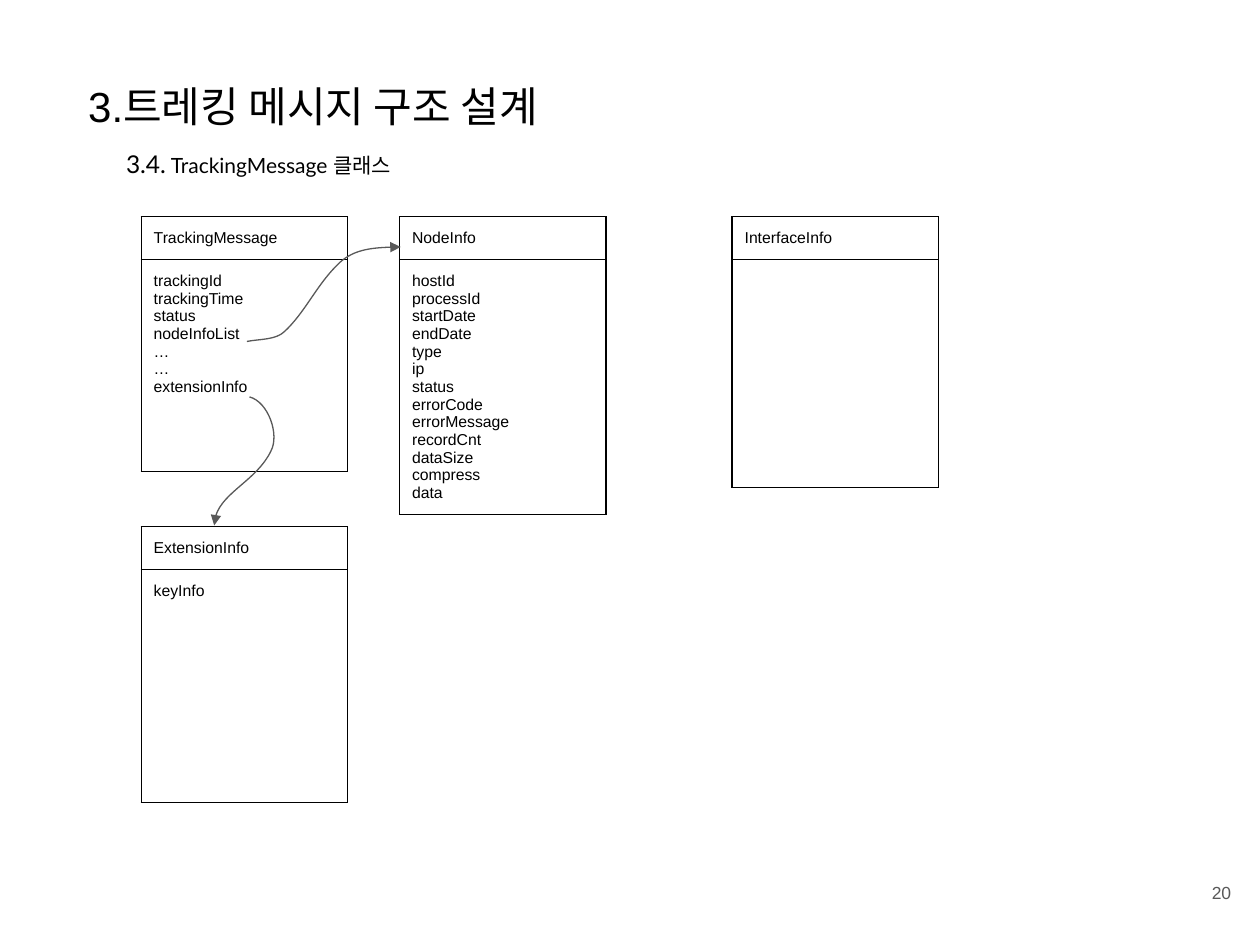
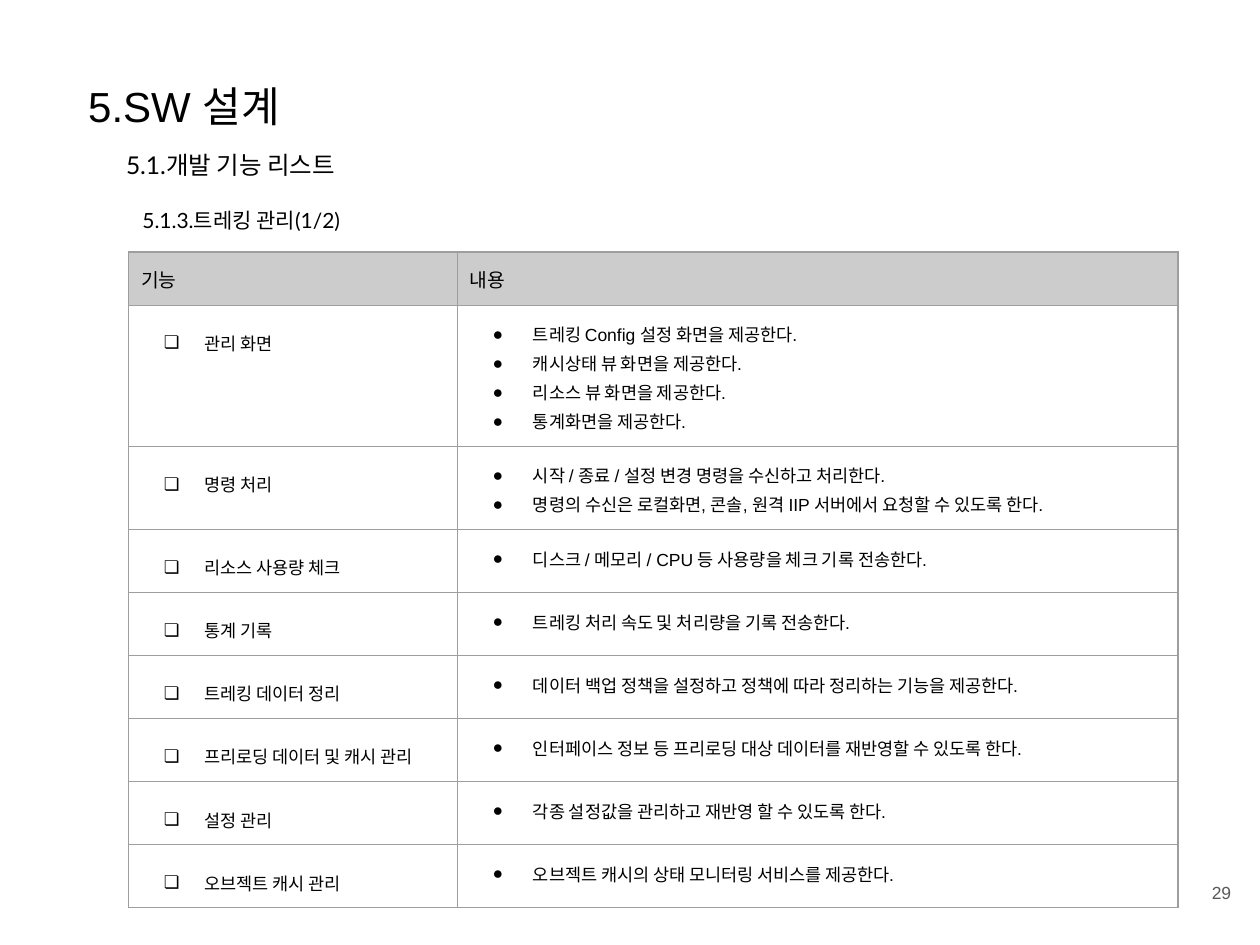
from lxml import etree
from pptx import Presentation
from pptx import util as u
from pptx.dml import color
from pptx.enum import text
from pptx.oxml import ns

BLACK, GRAY, GRID, HEADER = "000000", "595959", "9E9E9E", "CCCCCC"
ARIAL, LATO = "Arial", "Lato"

CLASS_WIDTH, CLASS_HEADER = 1.64, 0.34
CLASSES = [
    ("TrackingMessage", 1.12, 1.72, 1.68,
     ["trackingId", "trackingTime", "status", "nodeInfoList", "…", "…", "extensionInfo"]),
    ("NodeInfo", 3.17, 1.72, 2.02,
     ["hostId", "processId", "startDate", "endDate", "type", "ip", "status", "errorCode",
      "errorMessage", "recordCnt", "dataSize", "compress", "data"]),
    ("ExtensionInfo", 1.12, 4.18, 1.85, ["keyInfo"]),
    ("InterfaceInfo", 5.81, 1.72, 1.81, []),
]
NODE_LIST_ARROW = [(1.96, 2.71), (2.06, 2.69), (2.19, 2.7), (2.26, 2.63), (2.42, 2.48),
                   (2.51, 2.27), (2.67, 2.11), (2.79, 1.98), (3, 1.96), (3.18, 1.96)]
EXTENSION_ARROW = [(1.98, 3.15), (2.13, 3.19), (2.22, 3.45), (2.15, 3.58),
                   (2.04, 3.81), (1.7, 3.93), (1.7, 4.17)]
FEATURES = [
    ("관리 화면", ["트레킹 Config 설정 화면을 제공한다.", "캐시상태 뷰 화면을 제공한다.",
               "리소스 뷰 화면을 제공한다.", "통계화면을 제공한다."]),
    ("명령 처리", ["시작 / 종료 / 설정 변경 명령을 수신하고 처리한다.",
               "명령의 수신은 로컬화면, 콘솔, 원격 IIP 서버에서 요청할 수 있도록 한다."]),
    ("리소스 사용량 체크", ["디스크 / 메모리 / CPU 등 사용량을 체크 기록 전송한다."]),
    ("통계 기록", ["트레킹 처리 속도 및 처리량을 기록 전송한다."]),
    ("트레킹 데이터 정리", ["데이터 백업 정책을 설정하고 정책에 따라 정리하는 기능을 제공한다."]),
    ("프리로딩 데이터 및 캐시 관리", ["인터페이스 정보 등 프리로딩 대상 데이터를 재반영할 수 있도록 한다."]),
    ("설정 관리", ["각종 설정값을 관리하고 재반영 할 수 있도록 한다."]),
    ("오브젝트 캐시 관리", ["오브젝트 캐시의 상태 모니터링 서비스를 제공한다."]),
]


def rgb(value):
    return color.RGBColor.from_string(value)


def child(parent, tag, **attributes):
    return etree.SubElement(parent, ns.qn(tag), attributes)


def add_run(p, words, size, font=ARIAL, hue=BLACK):
    r = p.add_run()
    r.text = words
    r.font.size = u.Pt(size)
    r.font.name = font
    r.font.color.rgb = rgb(hue)


def setup_frame(tf, anchor=text.MSO_ANCHOR.TOP):
    tf.margin_left = tf.margin_right = tf.margin_top = tf.margin_bottom = u.Inches(0.1)
    tf.word_wrap = True
    tf.auto_size = text.MSO_AUTO_SIZE.NONE
    tf.vertical_anchor = anchor


def place(sp, left, top, width, height):
    sp.left, sp.top = u.Inches(left), u.Inches(top)
    sp.width, sp.height = u.Inches(width), u.Inches(height)


def add_title(s, words):
    sp = s.shapes.title
    place(sp, 0.6, 0.54, 8.52, 0.54)
    setup_frame(sp.text_frame)
    p = sp.text_frame.paragraphs[0]
    p.alignment = text.PP_ALIGN.LEFT
    add_run(p, words, 24)


def add_subtitles(s, top, height, lines):
    sp = s.placeholders[1]
    place(sp, 0.9, top, 5.6, height)
    tf = sp.text_frame
    setup_frame(tf)
    for i, (indent, runs) in enumerate(lines):
        p = tf.add_paragraph() if i else tf.paragraphs[0]
        pPr = p._p.get_or_add_pPr()
        pPr.set("marL", str(u.Inches(indent)))
        pPr.set("indent", "0")
        child(pPr, "a:buNone")
        p.space_before = u.Pt(16 if i else 0)
        for words, size in runs:
            add_run(p, words, size, LATO)


def add_page_number(s, number):
    sp = s.shapes.add_textbox(*map(u.Inches, (9.27, 6.8, 0.6, 0.57)))
    setup_frame(sp.text_frame, text.MSO_ANCHOR.MIDDLE)
    p = sp.text_frame.paragraphs[0]
    p.alignment = text.PP_ALIGN.RIGHT
    add_run(p, str(number), 10, hue=GRAY)


def add_slide(prs, title, number, top, height, subtitles):
    s = prs.slides.add_slide(prs.slide_layouts[1])
    add_title(s, title)
    add_subtitles(s, top, height, subtitles)
    add_page_number(s, number)
    return s


def add_borders(cell, hue):
    tcPr = cell._tc.get_or_add_tcPr()
    for i, side in enumerate(("a:lnL", "a:lnR", "a:lnT", "a:lnB")):
        ln = child(tcPr, side, w=str(u.Pt(0.75)))
        child(child(ln, "a:solidFill"), "a:srgbClr", val=hue)
        tcPr.insert(i, ln)


def add_grid(s, left, top, widths, heights, border):
    size = map(u.Inches, (left, top, sum(widths), sum(heights)))
    table = s.shapes.add_table(len(heights), len(widths), *size).table
    table.first_row = table.horz_banding = False
    for column, width in zip(table.columns, widths):
        column.width = u.Inches(width)
    for row, height in zip(table.rows, heights):
        row.height = u.Inches(height)
    for cell in table.iter_cells():
        cell.margin_left = cell.margin_right = u.Inches(0.1)
        cell.margin_top = cell.margin_bottom = u.Inches(0.1)
        cell.fill.background()
        add_borders(cell, border)
    return table


def add_bullet(p, char):
    pPr = p._p.get_or_add_pPr()
    pPr.set("marL", str(u.Inches(0.5)))
    pPr.set("indent", str(u.Inches(-0.32)))
    child(child(pPr, "a:buClr"), "a:srgbClr", val=BLACK)
    child(pPr, "a:buFont", typeface=ARIAL)
    child(pPr, "a:buChar", char=char)


def fill_cell(cell, lines, size, bullet=None, spacing=None):
    tf = cell.text_frame
    for i, words in enumerate(lines):
        p = tf.add_paragraph() if i else tf.paragraphs[0]
        if bullet:
            add_bullet(p, bullet)
            p.line_spacing = spacing
        add_run(p, words, size)


def add_class(s, name, left, top, body, fields):
    table = add_grid(s, left, top, [CLASS_WIDTH], [CLASS_HEADER, body], BLACK)
    fill_cell(table.cell(0, 0), [name], 9)
    fill_cell(table.cell(1, 0), fields, 9)


def add_curved_arrow(s, points):
    start, *rest = [(u.Inches(x), u.Inches(y)) for x, y in points]
    builder = s.shapes.build_freeform(*start)
    builder.add_line_segments(rest, close=False)
    sp = builder.convert_to_shape()
    segments = list(sp._element.iter(ns.qn("a:lnTo")))
    outline = segments[0].getparent()
    for i in range(0, len(segments), 3):
        curve = child(outline, "a:cubicBezTo")
        for segment in segments[i:i + 3]:
            curve.append(segment[0])
            outline.remove(segment)
    sp.shadow.inherit = False
    sp.fill.background()
    sp.line.color.rgb = rgb(GRAY)
    sp.line.width = u.Pt(0.75)
    child(sp.line._get_or_add_ln(), "a:tailEnd", type="triangle")


def add_feature_table(s):
    heights = [0.42] + [{4: 1.12, 2: 0.66}.get(len(details), 0.5) for _, details in FEATURES]
    table = add_grid(s, 1.02, 2, [2.61, 5.72], heights, GRID)
    for column, heading in enumerate(("기능", "내용")):
        cell = table.cell(0, column)
        cell.fill.solid()
        cell.fill.fore_color.rgb = rgb(HEADER)
        fill_cell(cell, [heading], 11)
    for row, (feature, details) in enumerate(FEATURES, 1):
        fill_cell(table.cell(row, 0), [feature], 10, "❏", 1.5)
        fill_cell(table.cell(row, 1), details, 10, "●", 1.15)


def main():
    prs = Presentation()
    prs.slide_width, prs.slide_height = u.Inches(10), u.Inches(7.5)

    s = add_slide(prs, "3.트레킹 메시지 구조 설계", 20, 1.08, 0.41,
                  [(0, [("3.4.", 14), (" TrackingMessage 클래스", 12)])])
    for entry in CLASSES:
        add_class(s, *entry)
    for points in (NODE_LIST_ARROW, EXTENSION_ARROW):
        add_curved_arrow(s, points)

    s = add_slide(prs, "5.SW 설계", 29, 1.09, 0.9,
                  [(0, [("5.1.개발 기능 리스트", 14)]),
                   (0.13, [("5.1.3.트레킹 관리(1/2)", 12)])])
    add_feature_table(s)

    prs.save("out.pptx")


if __name__ == "__main__":
    main()
